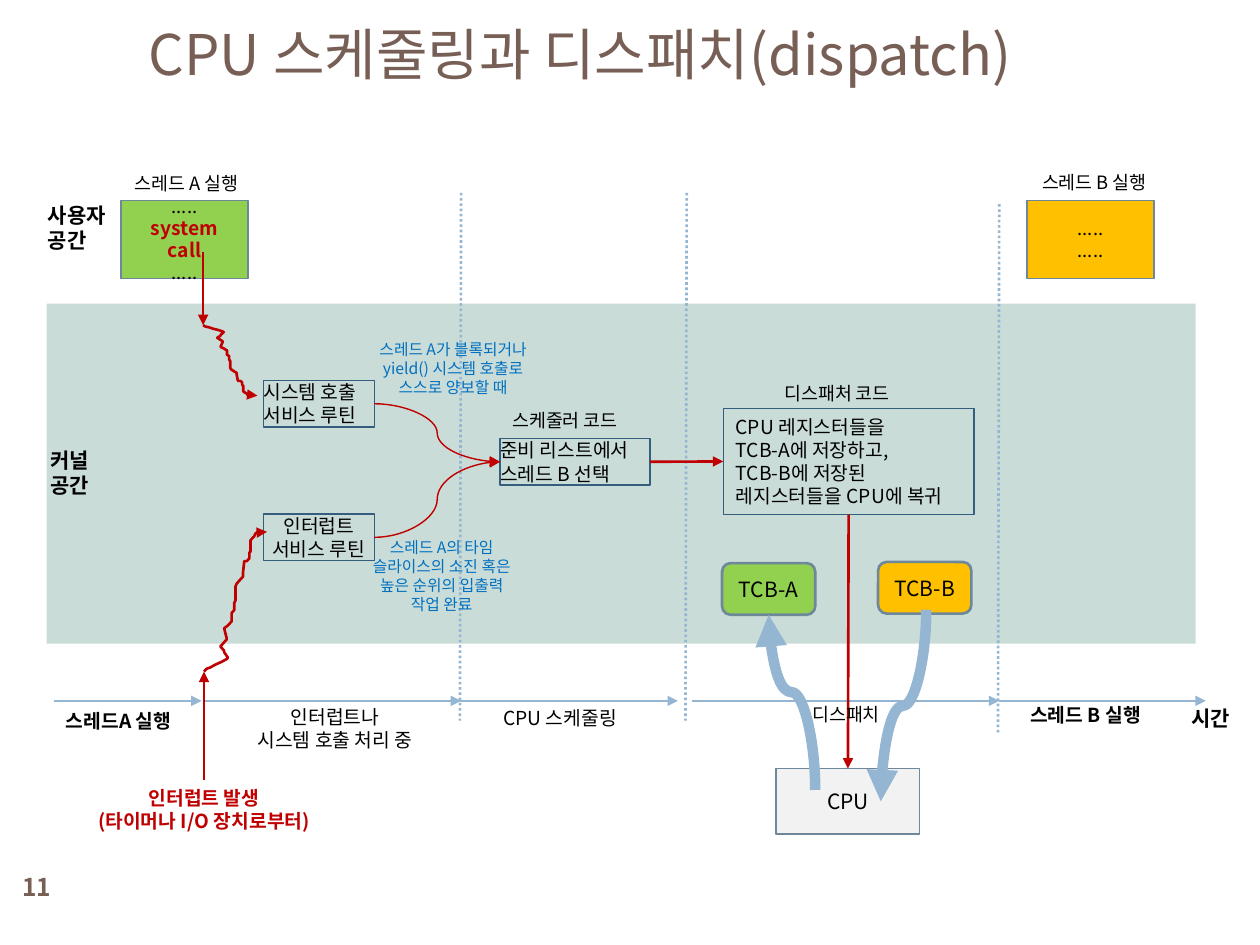
from lxml.etree import SubElement
from pptx import Presentation
from pptx.dml.color import RGBColor
from pptx.enum.dml import MSO_LINE
from pptx.enum.shapes import MSO_CONNECTOR, MSO_SHAPE
from pptx.enum.text import MSO_ANCHOR, MSO_AUTO_SIZE, PP_ALIGN
from pptx.oxml.ns import qn
from pptx.util import Pt

FONT = "Noto Sans CJK KR"
COLORS = {
    "title": "775F55", "text": "000000", "band": "CADCD8", "green": "92D050",
    "orange": "FFC000", "gray": "F2F2F2", "border": "6D879B", "code": "355D7E",
    "red": "C00000", "time": "94B6D2", "note": "0070C0",
}
LEFT, CENTER = PP_ALIGN.LEFT, PP_ALIGN.CENTER
STRAIGHT, CURVE = MSO_CONNECTOR.STRAIGHT, MSO_CONNECTOR.CURVE


def write(shape, text, size, color="text", bold=False, align=CENTER,
          anchor=MSO_ANCHOR.MIDDLE, wrap=True, inset=None):
    frame = shape.text_frame
    frame.text = text
    frame.word_wrap = wrap
    frame.auto_size = MSO_AUTO_SIZE.NONE
    frame.vertical_anchor = anchor
    if inset is not None:
        frame.margin_left = frame.margin_right = Pt(inset)
        frame.margin_top = frame.margin_bottom = Pt(inset)
    for paragraph in frame.paragraphs:
        paragraph.alignment = align
        paragraph.line_spacing = Pt(round(size * 1.2, 1))
        for run in paragraph.runs:
            run.font.size = Pt(size)
            run.font.bold = bold
            run.font.color.rgb = RGBColor.from_string(COLORS[color])
            run.font.name = FONT
            SubElement(run.font._element, qn("a:ea"), typeface=FONT)


def stroke(shape, color, width, arrow=None):
    """Style a line; arrow is tailEnd (at its end) or headEnd (at its start)."""
    shape.line.color.rgb = RGBColor.from_string(COLORS[color])
    shape.line.width = Pt(width)
    if arrow:
        SubElement(shape.line._get_or_add_ln(), qn(f"a:{arrow}"), type="triangle")
    properties = shape._element.spPr
    if properties.find(qn("a:effectLst")) is None:
        SubElement(properties, qn("a:effectLst"))


prs = Presentation()
prs.slide_width, prs.slide_height = Pt(720), Pt(540)
slide = prs.slides.add_slide(prs.slide_layouts[5])
shapes = slide.shapes

# Title
title = shapes.title
title.left, title.top, title.width, title.height = Pt(77.8), Pt(3.6), Pt(571), Pt(53.3)
write(title, "CPU 스케줄링과 디스패치(dispatch)", 32, "title", align=LEFT)

# Kernel band
kernel = shapes.add_shape(MSO_SHAPE.RECTANGLE, Pt(26.6), Pt(173.5), Pt(656.6), Pt(194.4))
kernel.shadow.inherit = False
kernel.fill.solid()
kernel.fill.fore_color.rgb = RGBColor.from_string(COLORS["band"])
kernel.line.fill.background()

# Boxes: text, left, top, width, height, fill, border, border width, size, align, inset
RECT, ROUND = MSO_SHAPE.RECTANGLE, MSO_SHAPE.ROUNDED_RECTANGLE
boxes = {}
for key, kind, text, x, y, w, h, fill, border, width, size, align, inset in [
    ("thread_a", RECT, ".....\nsystem call\n.....", 69.1, 114.5, 72.7, 44.6,
     "green", "border", 0.75, 10.5, CENTER, None),
    ("thread_b", RECT, ".....\n.....", 586.8, 114.5, 72.7, 44.6,
     "orange", "border", 0.75, 10.5, CENTER, None),
    ("syscall", RECT, "시스템 호출\n서비스 루틴", 150.5, 217.4, 63.4, 26.6,
     None, "code", 0.75, 11, LEFT, 0),
    ("interrupt", RECT, "인터럽트\n서비스 루틴", 150.5, 293.8, 63.4, 26.6,
     None, "code", 0.75, 11, CENTER, 0),
    ("scheduler", RECT, "준비 리스트에서\n스레드 B 선택", 285.8, 250.6, 85.7, 26.6,
     None, "code", 0.75, 11, LEFT, 0),
    ("dispatcher", RECT, "CPU 레지스터들을\nTCB-A에 저장하고,\nTCB-B에 저장된\n레지스터들을 CPU에 복귀",
     413.3, 233.3, 143.3, 60.8, None, "code", 0.75, 11, LEFT, None),
    ("cpu", RECT, "CPU", 443.5, 439.2, 82.1, 37.4,
     "gray", "border", 0.75, 12, CENTER, None),
    ("tcb_a", ROUND, "TCB-A", 412.6, 321.8, 53.3, 29.5,
     "green", "border", 1.5, 12, CENTER, None),
    ("tcb_b", ROUND, "TCB-B", 501.8, 321.1, 53.3, 29.5,
     "orange", "border", 1.5, 12, CENTER, None),
]:
    box = boxes[key] = shapes.add_shape(kind, Pt(x), Pt(y), Pt(w), Pt(h))
    box.shadow.inherit = False
    if fill:
        box.fill.solid()
        box.fill.fore_color.rgb = RGBColor.from_string(COLORS[fill])
    else:
        box.fill.background()
    stroke(box, border, width)
    write(box, text, size, align=align, inset=inset, wrap=fill is not None)

system_call = boxes["thread_a"].text_frame.paragraphs[1].runs[0].font
system_call.size, system_call.bold = Pt(11), True
system_call.color.rgb = RGBColor.from_string(COLORS["red"])

# Phase borders
for x, top, bottom in [(263.5, 110.2, 411.8), (392.4, 110.2, 411.8), (571, 116.6, 419)]:
    phase = shapes.add_connector(STRAIGHT, Pt(x), Pt(top), Pt(x - 0.7), Pt(bottom))
    stroke(phase, "time", 1.5)
    phase.line.dash_style = MSO_LINE.ROUND_DOT

# Time axis
for start, end in [(31, 115.2), (115.9, 263.5), (252.7, 387.4), (395.3, 571), (571, 689)]:
    axis = shapes.add_connector(STRAIGHT, Pt(start), Pt(400.5), Pt(end), Pt(400.5))
    stroke(axis, "time", 0.79, "tailEnd")

# Entries into the kernel
for x, start, end in [(116.1, 144, 185.8), (116.6, 445.7, 383.8)]:
    entry = shapes.add_connector(STRAIGHT, Pt(x), Pt(start), Pt(x), Pt(end))
    stroke(entry, "red", 1.5, "tailEnd")

# Control flow between the boxes
for kind, source, source_side, target, target_side, width in [
    (STRAIGHT, "scheduler", 3, "dispatcher", 1, 1.5),
    (STRAIGHT, "dispatcher", 2, "cpu", 0, 1.5),
    (CURVE, "syscall", 3, "scheduler", 1, 0.79),
    (CURVE, "interrupt", 3, "scheduler", 1, 0.79),
]:
    flow = shapes.add_connector(kind, 0, 0, 0, 0)
    flow.begin_connect(boxes[source], source_side)
    flow.end_connect(boxes[target], target_side)
    stroke(flow, "red", width, "tailEnd")

# Jagged paths to the service routines, as shares of width and height
JAGGED = [
    (0, 0), (.04, .02), (.1, .03), (.18, .05), (.28, .07), (.36, .09), (.38, .1),
    (.32, .14), (.32, .15), (.26, .18), (.32, .21), (.36, .23), (.36, .24), (.32, .31),
    (.38, .33), (.42, .35), (.44, .36), (.44, .42), (.48, .44), (.48, .49), (.5, .51),
    (.5, .61), (.52, .63), (.58, .66), (.62, .68), (.62, .71), (.64, .79), (.68, .79),
    (.72, .81), (.72, .85), (.74, .86), (.74, .94), (.76, .95), (.8, .97), (.82, .99),
    (.86, 1), (1, 1),
]
for x, y, w, h in [(116.1, 185.8, 31, 40.3), (116.6, 383.8, 36, -79.9)]:
    points = [(Pt(x + w * across), Pt(y + h * down)) for across, down in JAGGED]
    outline = shapes.build_freeform(*points[0])
    outline.add_line_segments(points[1:], close=False)
    jagged = outline.convert_to_shape()
    jagged.shadow.inherit = False
    jagged.fill.background()
    stroke(jagged, "red", 1.5, "tailEnd")

# Register save and restore: ends before the turn, turn in degrees, bend, arrow
for x1, y1, x2, y2, turn, bend, arrow in [
    (402.5, 414.7, 502.6, 388.1, 270, 55800, "tailEnd"),
    (571, 416.2, 461.5, 390.2, 90, 50000, "headEnd"),
]:
    transfer = shapes.add_connector(CURVE, Pt(x1), Pt(y1), Pt(x2), Pt(y2))
    properties = transfer._element.spPr
    properties.find(qn("a:xfrm")).set("rot", str(turn * 60000))
    adjust = properties.find(qn("a:prstGeom")).find(qn("a:avLst"))
    SubElement(adjust, qn("a:gd"), name="adj1", fmla=f"val {bend}")
    stroke(transfer, "time", 6, arrow)

# Labels: text, left, top, width, height, size, color, bold, align, wrap
for text, x, y, w, h, size, color, bold, align, wrap in [
    ("사용자\n공간", 20.2, 112.3, 51.1, 36, 12, "text", True, LEFT, False),
    ("커널\n공간", 21.6, 252, 38.9, 36, 12, "text", True, LEFT, False),
    ("스레드 A 실행", 65.5, 95, 82.1, 20.2, 10.5, "text", False, CENTER, False),
    ("스레드 B 실행", 584.6, 94.3, 81.4, 20.2, 10.5, "text", False, CENTER, False),
    ("스케줄러 코드", 285.8, 230.4, 82.1, 20.2, 10.5, "text", False, LEFT, False),
    ("디스패처 코드", 441.4, 214.6, 82.1, 20.2, 10.5, "text", False, LEFT, False),
    ("스레드A 실행", 23.8, 401.8, 87.8, 20.9, 11, "text", True, CENTER, True),
    ("인터럽트나\n시스템 호출 처리 중", 133.9, 399.6, 115.2, 33.8, 11, "text", False, CENTER, False),
    ("CPU 스케줄링", 277.9, 400.3, 84.2, 20.9, 11, "text", False, CENTER, False),
    ("디스패치", 457.2, 398.2, 56.9, 20.2, 10.5, "text", False, LEFT, False),
    ("스레드 B 실행", 578.2, 398.2, 84.2, 20.9, 11, "text", True, CENTER, False),
    ("시간", 673.9, 399.6, 38.9, 21.6, 12, "text", True, LEFT, False),
    ("인터럽트 발생\n(타이머나 I/O 장치로부터)", 43.2, 445.7, 146.9, 33.8, 11, "red", True, CENTER, False),
    ("스레드 A가 블록되거나\nyield() 시스템 호출로\n스스로 양보할 때",
     204.5, 190.8, 108.7, 40.3, 9, "note", False, CENTER, False),
    ("스레드 A의 타임 슬라이스의 소진 혹은 높은 순위의 입출력 작업 완료",
     202.3, 303.8, 100.1, 51.1, 9, "note", False, CENTER, True),
]:
    label = shapes.add_textbox(Pt(x), Pt(y), Pt(w), Pt(h))
    write(label, text, size, color, bold, align, MSO_ANCHOR.TOP, wrap)
    label.text_frame.auto_size = MSO_AUTO_SIZE.SHAPE_TO_FIT_TEXT

# Slide number
number = shapes.add_textbox(0, Pt(491.8), Pt(41.8), Pt(30.2))
write(number, "11", 14, "title", True)

prs.save("out.pptx")
